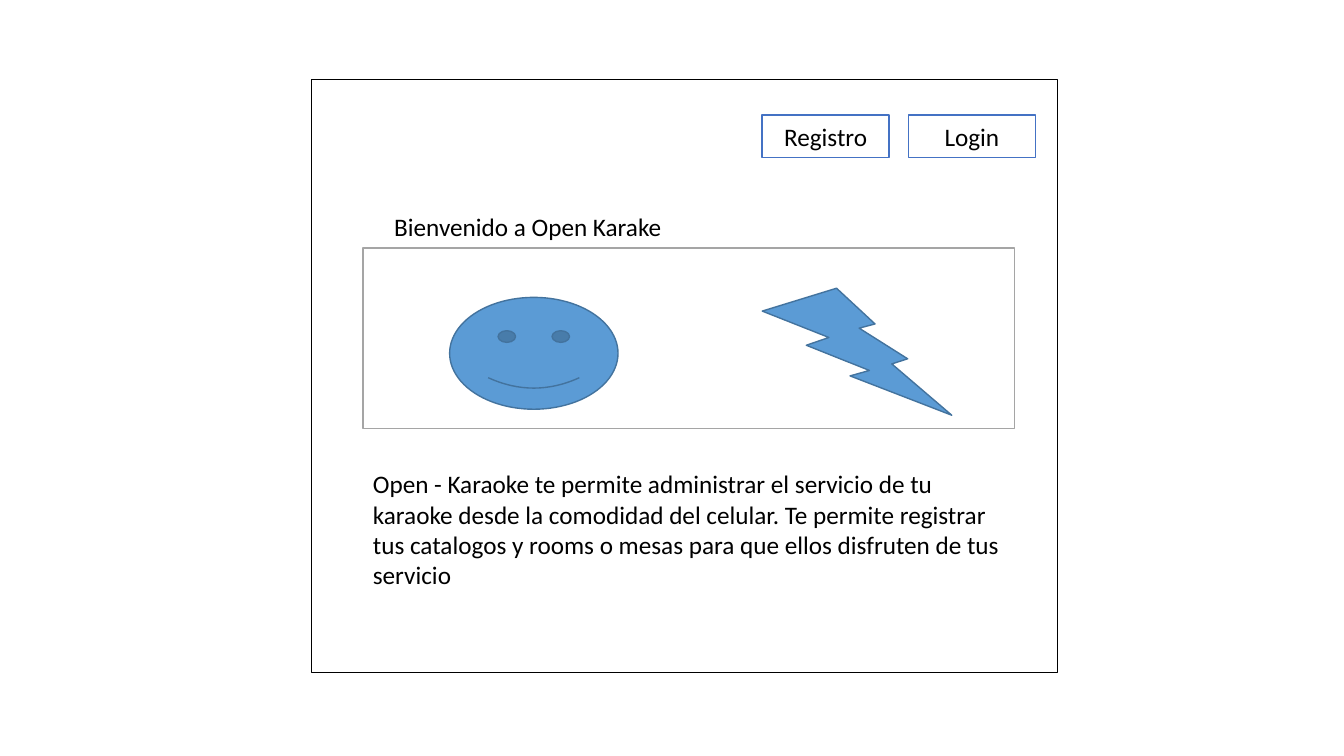
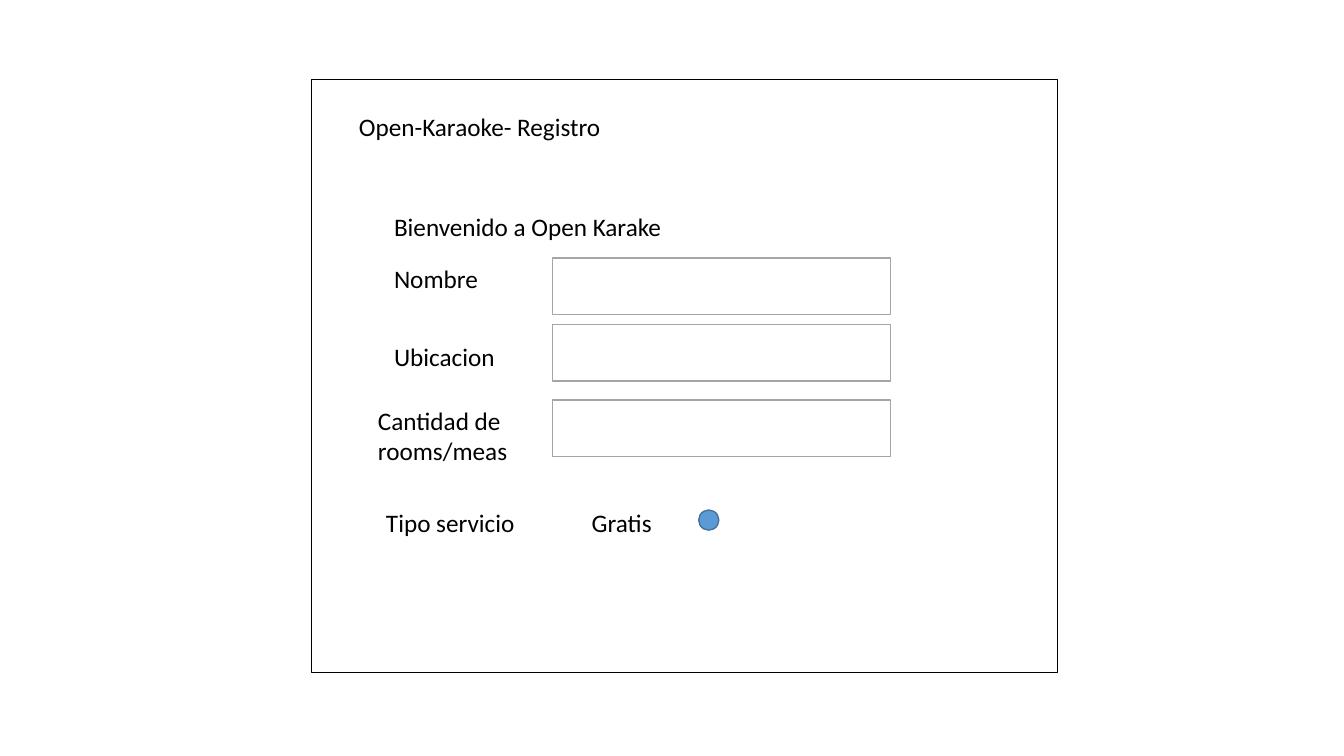
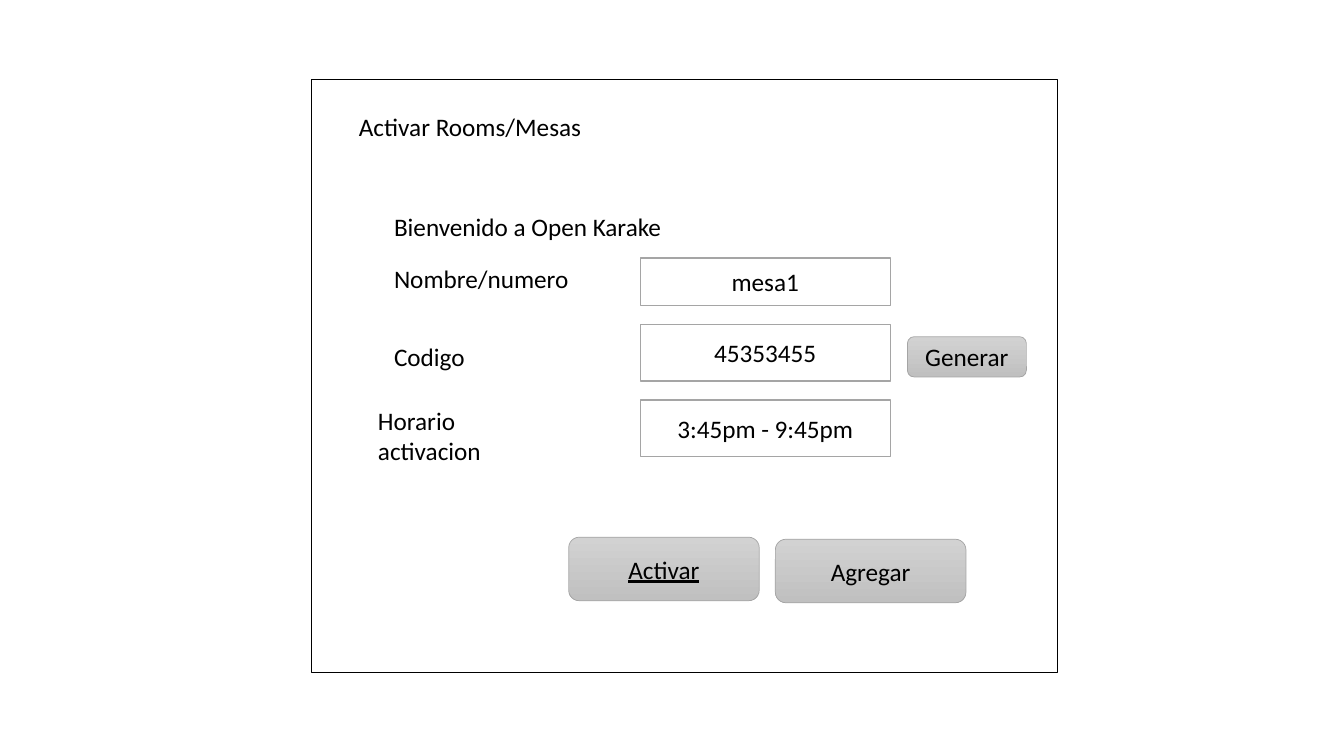
from dataclasses import dataclass

from pptx import Presentation
from pptx.dml.color import RGBColor
from pptx.enum.shapes import MSO_SHAPE
from pptx.enum.text import MSO_ANCHOR, MSO_AUTO_SIZE, PP_ALIGN
from pptx.util import Inches, Pt

BLACK = RGBColor(0x00, 0x00, 0x00)
WHITE = RGBColor(0xFF, 0xFF, 0xFF)
GREY = RGBColor(0xA5, 0xA5, 0xA5)
BUTTON_TOP = RGBColor(0xD2, 0xD2, 0xD2)
BUTTON_BOTTOM = RGBColor(0xC0, 0xC0, 0xC0)
BLUE_LINE = RGBColor(0x44, 0x72, 0xC4)
ICON_FILL = RGBColor(0x5B, 0x9B, 0xD5)
ICON_LINE = RGBColor(0x43, 0x73, 0x9E)
FONT, TEXT_SIZE = "Calibri", Pt(18)
TITLE_ONLY = 5
WELCOME = "Bienvenido a Open Karake"


@dataclass
class Box:
    """An area in inches."""
    left: float
    top: float
    width: float
    height: float

    def inside(self, left, top, width, height):
        """A box placed from this box's top left corner."""
        return Box(self.left + left, self.top + top, width, height)

    def lengths(self):
        return [Inches(n) for n in (self.left, self.top, self.width, self.height)]


SCREEN = Box(3.09, 0.79, 7.4, 5.88)
WELCOME_BOX = SCREEN.inside(0.72, 1.26, 5.56, 0.4)
HEADING_BOX = SCREEN.inside(0.37, 0.26, 5.21, 0.4)
FORM = SCREEN.inside(0.56, 1.77, 6.6, 2.12)


# Shared parts
def write(shape, text, align=PP_ALIGN.LEFT, anchor=MSO_ANCHOR.TOP, underline=None):
    frame = shape.text_frame
    frame.word_wrap = True
    frame.vertical_anchor = anchor
    para = frame.paragraphs[0]
    para.alignment = align
    span = para.add_run()
    span.text = text
    span.font.name, span.font.size = FONT, TEXT_SIZE
    span.font.color.rgb = BLACK
    span.font.underline = underline


def add_label(page, box, text):
    label = page.shapes.add_textbox(*box.lengths())
    write(label, text)
    label.text_frame.auto_size = MSO_AUTO_SIZE.SHAPE_TO_FIT_TEXT


def add_panel(page, box, line, text="", fill=WHITE, kind=MSO_SHAPE.RECTANGLE):
    panel = page.shapes.add_shape(kind, *box.lengths())
    panel.shadow.inherit = False
    panel.fill.solid()
    panel.fill.fore_color.rgb = fill
    panel.line.color.rgb = line
    panel.line.width = Pt(1)
    if text:
        write(panel, text, PP_ALIGN.CENTER, MSO_ANCHOR.MIDDLE)
    return panel


def add_icon(page, box, kind):
    add_panel(page, box, ICON_LINE, fill=ICON_FILL, kind=kind)


def add_button(page, box, text, underline=None):
    button = page.shapes.add_shape(MSO_SHAPE.ROUNDED_RECTANGLE, *box.lengths())
    button.shadow.inherit = False
    button.fill.gradient()
    button.fill.gradient_angle = 270
    for stop, colour in zip(button.fill.gradient_stops, (BUTTON_TOP, BUTTON_BOTTOM)):
        stop.color.rgb = colour
    button.line.color.rgb = GREY
    button.line.width = Pt(0.5)
    write(button, text, PP_ALIGN.CENTER, MSO_ANCHOR.MIDDLE, underline)


def add_screen(deck, title_text, title_box):
    """A page with the screen outline and its title."""
    page = deck.slides.add_slide(deck.slide_layouts[TITLE_ONLY])
    outline = add_panel(page, SCREEN, BLACK)
    title = page.shapes.title
    title.left, title.top, title.width, title.height = title_box.lengths()
    write(title, title_text)
    title.text_frame.auto_size = MSO_AUTO_SIZE.SHAPE_TO_FIT_TEXT
    # The title stands in front of the outline
    outline._element.addnext(title._element)
    return page


# Regions
def add_banner(page, box):
    add_panel(page, box, GREY)
    add_icon(page, box.inside(0.86, 0.49, 1.67, 1.11), MSO_SHAPE.SMILEY_FACE)
    add_icon(page, box.inside(3.96, 0.4, 1.88, 1.26), MSO_SHAPE.LIGHTNING_BOLT)


def add_form(page, box, rows, field_left, field_width, first_height=0.56):
    """Three rows of label and field."""
    label_boxes = (box.inside(0.16, 0, 1.96, 0.4),
                   box.inside(0.16, 0.78, 1.37, 0.4),
                   box.inside(0, 1.41, 1.68, 0.71))
    fields = ((0, first_height), (0.66, 0.56), (1.41, 0.56))
    for (label, value), label_box, (top, height) in zip(rows, label_boxes, fields):
        add_label(page, label_box, label)
        add_panel(page, box.inside(field_left, top, field_width, height), GREY, value)


def add_service_choice(page, box):
    add_label(page, box.inside(0, 0, 1.52, 0.4), "Tipo servicio")
    add_label(page, box.inside(2.04, 0, 0.82, 0.4), "Gratis")
    add_icon(page, box.inside(3.2, 0.08, 0.2, 0.2), MSO_SHAPE.OVAL)


# Slides
def build_home(deck):
    page = add_screen(deck, WELCOME, WELCOME_BOX)
    for column, text in enumerate(("Registro", "Login")):
        add_panel(page, SCREEN.inside(4.47 + 1.45 * column, 0.35, 1.26, 0.42),
                  BLUE_LINE, text)
    add_banner(page, SCREEN.inside(0.51, 1.67, 6.46, 1.79))
    add_label(page, SCREEN.inside(0.51, 3.81, 6.46, 1.31),
              "Open - Karaoke te permite administrar el servicio de tu karaoke "
              "desde la comodidad del celular. Te permite registrar tus catalogos "
              "y rooms o mesas para que ellos disfruten de tus servicio")


def build_registration(deck):
    page = add_screen(deck, "Open-Karaoke- Registro", HEADING_BOX)
    add_label(page, WELCOME_BOX, WELCOME)
    rows = (("Nombre", ""), ("Ubicacion", ""), ("Cantidad de rooms/meas", ""))
    add_form(page, FORM, rows, field_left=1.83, field_width=3.35)
    add_service_choice(page, SCREEN.inside(0.64, 4.19, 3.4, 0.4))


def build_activation(deck):
    page = add_screen(deck, "Activar Rooms/Mesas", HEADING_BOX)
    add_label(page, WELCOME_BOX, WELCOME)
    rows = (("Nombre/numero", "mesa1"), ("Codigo", "45353455"),
            ("Horario activacion", "3:45pm - 9:45pm"))
    add_form(page, FORM, rows, field_left=2.7, field_width=2.48, first_height=0.47)
    add_button(page, FORM.inside(5.35, 0.78, 1.18, 0.4), "Generar")
    add_button(page, SCREEN.inside(2.55, 4.54, 1.89, 0.63), "Activar", underline=True)
    add_button(page, SCREEN.inside(4.6, 4.56, 1.89, 0.63), "Agregar")


deck = Presentation()
deck.slide_width, deck.slide_height = Inches(13.33), Inches(7.5)
build_home(deck)
build_registration(deck)
build_activation(deck)
deck.save("out.pptx")
